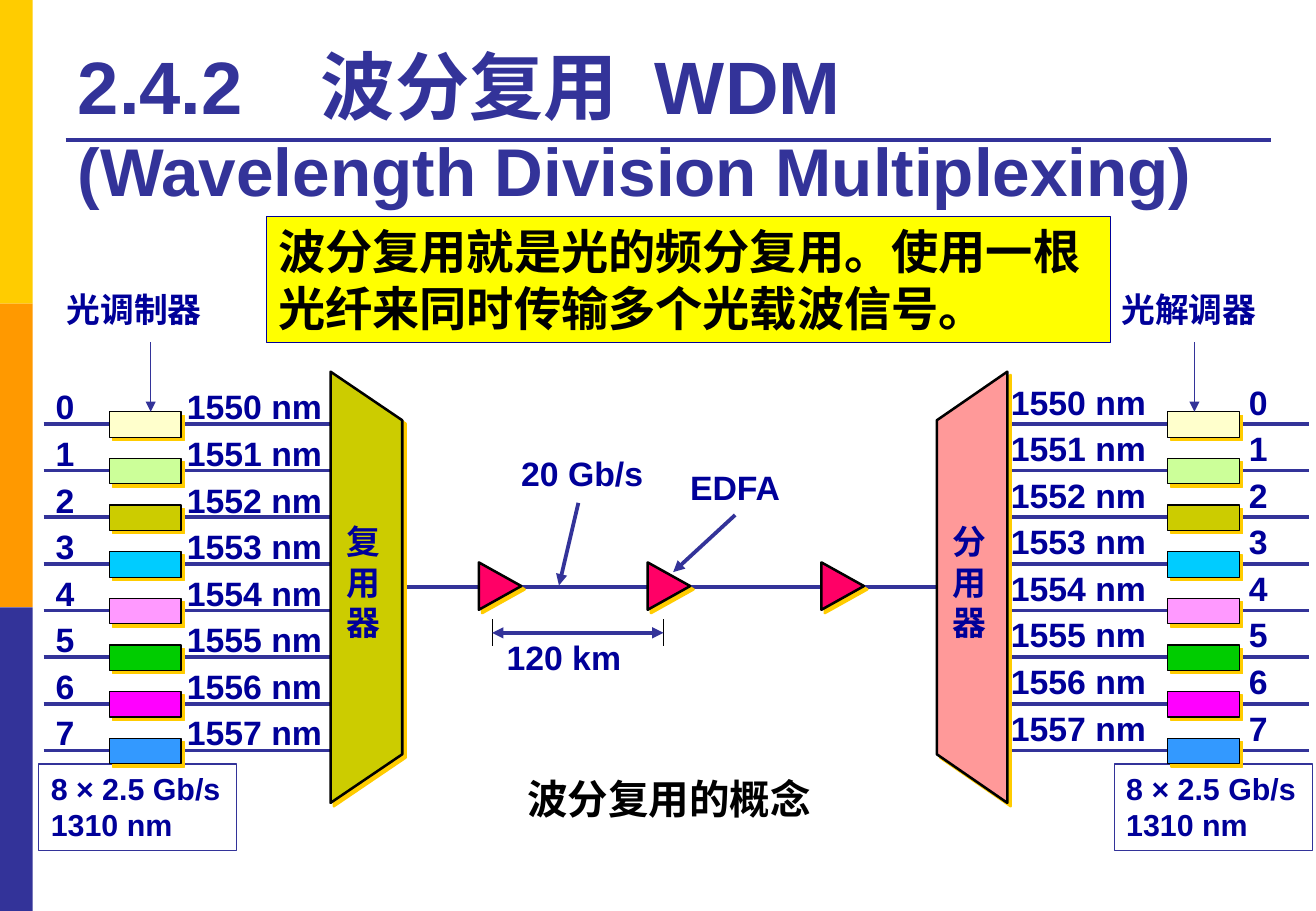
from lxml.etree import SubElement
from pptx import Presentation
from pptx.dml.color import RGBColor
from pptx.enum.shapes import MSO_CONNECTOR, MSO_SHAPE
from pptx.enum.text import MSO_ANCHOR, PP_ALIGN
from pptx.oxml.ns import qn
from pptx.util import Emu, Pt

PX = 9144  # 100 px to the inch
COLORS = {
    "gold": "FFCC00", "orange": "FF9900", "indigo": "333399", "navy": "000099",
    "black": "000000", "yellow": "FFFF00", "cherry": "FF0066",
    "olive": "CCCC00", "salmon": "FF9999", "cream": "FFFFCC", "lime": "CCFF99",
    "cyan": "00CCFF", "pink": "FF99FF", "green": "00CC00",
    "magenta": "FF00FF", "blue": "3399FF",
}

TITLE = ("2.4.2\t波分复用\tWDM", "(Wavelength Division Multiplexing)")
NOTE = "波分复用就是光的频分复用。使用一根光纤来同时传输多个光载波信号。"
CAPTION = "波分复用的概念"
RATES = ["8 × 2.5 Gb/s", "1310 nm"]
BARS = ["gold", "orange", "indigo"]
BANDS = ["cream", "lime", "olive", "cyan", "pink", "green", "magenta", "blue"]
WAVES = [f"{1550 + i} nm" for i in range(len(BANDS))]
SIDES = [
    dict(rows=[f"{i}\t{wave}" for i, wave in enumerate(WAVES)],
         list=(36, 308, 260, 320), tab=108, fibre=(36, 284), box=90, rate=32,
         name="光调制器", tag=45, arrow=124,
         unit="复用器", unit_x=275, inner=331, outer=272, fill="olive"),
    dict(rows=[f"{wave}\t{i}" for i, wave in enumerate(WAVES)],
         list=(822, 304, 240, 320), tab=196, fibre=(829, 1077), box=961, rate=917,
         name="光解调器", tag=913, arrow=983,
         unit="分用器", unit_x=774, inner=771, outer=829, fill="salmon"),
]
LABELS = [("20 Gb/s", 419, 368, 121), ("EDFA", 558, 379, 95), ("120 km", 407, 519, 115)]
AMPS = [392, 531, 674]
POINTERS = [(476, 414, 460, 482), (605, 424, 554, 471)]
SPAN = (405, 546)
TOP, PITCH = 349, 38.4


def px(n):
    return Emu(round(n * PX))


def color(name):
    return RGBColor.from_string(COLORS[name])


def paint(shape, fill, edge=None, width=0.75, shade=False):
    """Set fill, outline and an optional gold shadow."""
    shape.shadow.inherit = False
    if fill:
        shape.fill.solid()
        shape.fill.fore_color.rgb = color(fill)
    else:
        shape.fill.background()
    if edge:
        shape.line.color.rgb = color(edge)
        shape.line.width = Pt(width)
    else:
        shape.line.fill.background()
    if shade:
        effects = shape._element.spPr.find(qn("a:effectLst"))
        outer = SubElement(effects, qn("a:outerShdw"), dist="35921",
                           dir="2700000", algn="ctr", rotWithShape="0")
        SubElement(outer, qn("a:srgbClr"), val=COLORS["gold"])
    return shape


def block(x, y, w, h, kind=MSO_SHAPE.RECTANGLE):
    return slide.shapes.add_shape(kind, px(x), px(y), px(w), px(h))


def line(x1, y1, x2, y2, width=2.25, ink="indigo", ends=()):
    """Draw a straight line; ends holds headEnd and/or tailEnd."""
    link = slide.shapes.add_connector(MSO_CONNECTOR.STRAIGHT, px(x1), px(y1), px(x2), px(y2))
    link.line.color.rgb = color(ink)
    link.line.width = Pt(width)
    for end in ends:
        SubElement(link.line._get_or_add_ln(), qn(f"a:{end}"), type="triangle")
    SubElement(link._element.spPr, qn("a:effectLst"))


def tabs(para, *stops):
    props = para._p.get_or_add_pPr()
    group = props.makeelement(qn("a:tabLst"))
    for stop in stops:
        SubElement(group, qn("a:tab"), pos=str(px(stop)), algn="l")
    props.insert_element_before(group, "a:defRPr", "a:extLst")


def style(para, size, ink="navy", align=PP_ALIGN.LEFT):
    para.alignment = align
    font = para.font
    font.name, font.size, font.bold = "Arial", Pt(size), True
    font.color.rgb = color(ink)


def write(shape, rows, size, ink="navy", align=PP_ALIGN.LEFT, wrap=True):
    frame = shape.text_frame
    frame.word_wrap = wrap
    frame.vertical_anchor = MSO_ANCHOR.TOP
    for i, row in enumerate(rows):
        para = frame.add_paragraph() if i else frame.paragraphs[0]
        para.text = row
        style(para, size, ink, align)
    return frame.paragraphs


def label(rows, x, y, w, h, size=20, **kw):
    box = slide.shapes.add_textbox(px(x), px(y), px(w), px(h))
    return write(box, rows, size, **kw)


prs = Presentation()
prs.slide_width, prs.slide_height = px(1083), px(750)
slide = prs.slides.add_slide(prs.slide_layouts[5])

# Side bars, title and note
for i, bar in enumerate(BARS):
    paint(block(0, 250 * i, 27, 250), bar)
line(54, 115, 1046, 115)
title = slide.shapes.title
title.left, title.top, title.width, title.height = px(54), px(21), px(991), px(157)
frame = title.text_frame
frame.word_wrap = True
frame.vertical_anchor = MSO_ANCHOR.BOTTOM
para = frame.paragraphs[0]
style(para, 44, "indigo")
tabs(para, 200, 475)
para.add_run().text = TITLE[0]
para.add_line_break()
second = para.add_run()
second.text = TITLE[1]
second.font.size = Pt(40)
write(paint(block(219, 178, 695, 104), "yellow", "navy"), [NOTE], 28, "black")

# Channels, multiplexer and demultiplexer
line(290, 483, 823, 483)
for side in SIDES:
    write(paint(block(side["rate"], 629, 163, 71), None, "indigo"), RATES, 18)
    for para in label(side["rows"], *side["list"]):
        para.line_spacing = Pt(27.6)
        tabs(para, side["tab"])
    start, end = side["fibre"]
    for i, band in enumerate(BANDS):
        y = TOP + PITCH * i
        line(start, y, end, y)
        paint(block(side["box"], y - 10, 59, 21), band, "black", shade=True)
    inner, outer = side["inner"], side["outer"]
    path = slide.shapes.build_freeform(outer, 661, scale=PX)
    path.add_line_segments([(inner, 621), (inner, 346), (outer, 306)])
    paint(path.convert_to_shape(), side["fill"], "black", 1.5, True)
    label(side["unit"], side["unit_x"], 424, 48, 111, wrap=False)
    label([side["name"]], side["tag"], 233, 133, 44, wrap=False)
    line(side["arrow"], 282, side["arrow"], 339, 0.75, ends=["tailEnd"])

# Amplifiers and span
for x in AMPS:
    amp = block(x, 465, 39, 35, MSO_SHAPE.ISOSCELES_TRIANGLE)
    amp.rotation = 90
    paint(amp, "cherry", "black", 1.5, True)
for pointer in POINTERS:
    line(*pointer, ends=["tailEnd"])
for x in SPAN:
    line(x, 510, x, 532, 0.75, "black")
line(SPAN[0], 521, SPAN[1], 521, ends=["headEnd", "tailEnd"])
for text, x, y, w in LABELS:
    label([text], x, y, w, 44, wrap=False)
label([CAPTION], 331, 632, 439, 50, 24, ink="black", align=PP_ALIGN.CENTER)

prs.save("out.pptx")
